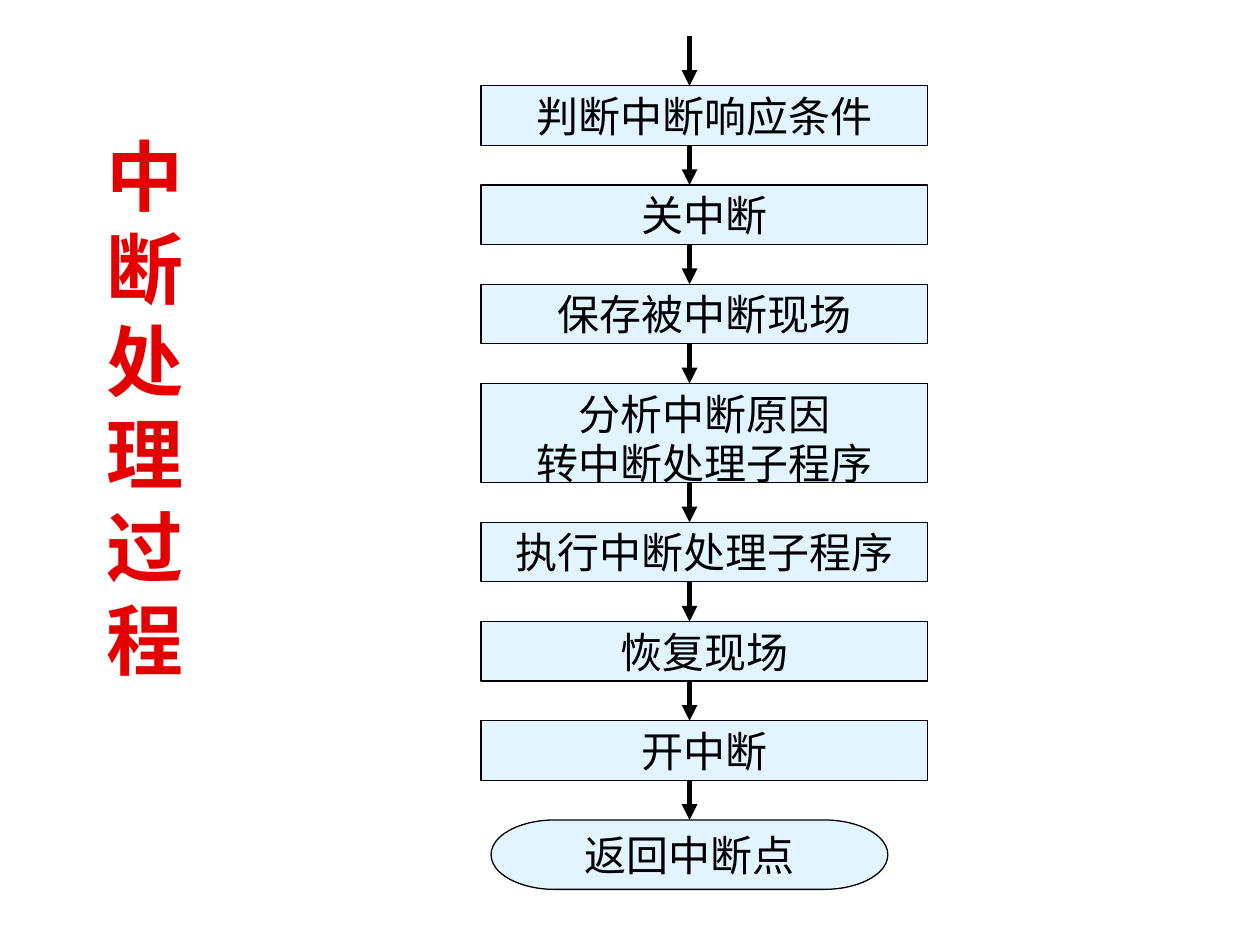
from dataclasses import dataclass

from lxml import etree
from pptx import Presentation
from pptx.dml.color import RGBColor
from pptx.enum.shapes import MSO_CONNECTOR, MSO_SHAPE
from pptx.enum.text import MSO_ANCHOR, MSO_AUTO_SIZE, PP_ALIGN
from pptx.oxml.ns import qn
from pptx.util import Cm, Pt

RECT = MSO_SHAPE.RECTANGLE
TERMINATOR = MSO_SHAPE.FLOWCHART_TERMINATOR
STRAIGHT = MSO_CONNECTOR.STRAIGHT
MIDDLE = MSO_ANCHOR.MIDDLE
LEFT, CENTER = PP_ALIGN.LEFT, PP_ALIGN.CENTER
NO_AUTOFIT = MSO_AUTO_SIZE.NONE


@dataclass(frozen=True)
class Theme:
    white: RGBColor = RGBColor(0xFF, 0xFF, 0xFF)
    black: RGBColor = RGBColor(0, 0, 0)
    red: RGBColor = RGBColor(0xE4, 0, 0)
    pale_blue: RGBColor = RGBColor(0xE1, 0xF4, 0xFF)
    title_font: str = "Arial"
    step_font: str = "Noto Sans CJK SC"
    end_font: str = "Lato"
    asian_font: str = "Noto Sans CJK SC"
    title_size: Pt = Pt(44)
    step_size: Pt = Pt(24)
    title_pitch: Pt = Pt(53)
    step_pitch: Pt = Pt(28)


THEME = Theme()

# Flow chart measures in cm
FIRST_TOP, GAP, ENTRY = 1.73, 0.8, 1.0
ARROW_X = 13.9
STEP_LEFT, STEP_WIDTH = 9.7, 9.0
STEP_HEIGHT, TALL_HEIGHT = 1.2, 2.0
END_LEFT, END_WIDTH, END_HEIGHT = 9.9, 8.0, 1.4

STEPS = [
    "判断中断响应条件",
    "关中断",
    "保存被中断现场",
    "分析中断原因\n转中断处理子程序",
    "执行中断处理子程序",
    "恢复现场",
    "开中断",
]


def style_text(tf, font, size, color, align, bold=False, pitch=None):
    tf.vertical_anchor = MIDDLE
    if pitch:
        # Fixed pitch lifts the glyphs, so the top inset lowers them again
        tf.margin_top = Cm(0.38)
    for p in tf.paragraphs:
        p.alignment = align
        if pitch:
            p.line_spacing = pitch
        p.font.name, p.font.size, p.font.bold = font, size, bold
        p.font.color.rgb = color
        latin = p.font._element.find(qn("a:latin"))
        ea = etree.Element(qn("a:ea"), typeface=THEME.asian_font)
        latin.addnext(ea)


def set_title(slide, text):
    sp = slide.shapes.title
    sp.left, sp.top, sp.width, sp.height = Cm(1.9), Cm(0), Cm(2.8), Cm(16.13)
    sp.fill.solid()
    sp.fill.fore_color.rgb = THEME.white
    tf = sp.text_frame
    tf.text = text
    tf.word_wrap = True  # the narrow box holds one character a line
    tf.auto_size = NO_AUTOFIT
    style_text(tf, THEME.title_font, THEME.title_size, THEME.red, LEFT,
               bold=True, pitch=THEME.title_pitch)


def add_box(slide, kind, left, top, width, height, text, font):
    sp = slide.shapes.add_shape(kind, Cm(left), Cm(top), Cm(width), Cm(height))
    sp.shadow.inherit = False
    sp.fill.solid()
    sp.fill.fore_color.rgb = THEME.pale_blue
    sp.line.color.rgb = THEME.black
    sp.line.width = Pt(0.75)
    tf = sp.text_frame
    tf.text = text
    tf.word_wrap = False
    pitch = THEME.step_pitch if "\n" in text else None
    style_text(tf, font, THEME.step_size, THEME.black, CENTER, pitch=pitch)


def add_arrow(slide, top, bottom):
    line = slide.shapes.add_connector(
        STRAIGHT, Cm(ARROW_X), Cm(top), Cm(ARROW_X), Cm(bottom))
    line.line.color.rgb = THEME.black
    line.line.width = Pt(3)
    etree.SubElement(line.line._get_or_add_ln(), qn("a:tailEnd"), type="triangle")
    etree.SubElement(line._element.spPr, qn("a:effectLst"))


def main():
    prs = Presentation()
    prs.slide_width, prs.slide_height = Cm(25.4), Cm(19.05)
    slide = prs.slides.add_slide(prs.slide_layouts[5])

    set_title(slide, "中断处理过程")

    # Steps from top to bottom, each followed by an arrow
    add_arrow(slide, FIRST_TOP - ENTRY, FIRST_TOP)
    top = FIRST_TOP
    for text in STEPS:
        height = TALL_HEIGHT if "\n" in text else STEP_HEIGHT
        add_box(slide, RECT, STEP_LEFT, top, STEP_WIDTH, height, text,
                THEME.step_font)
        top += height + GAP
        add_arrow(slide, top - GAP, top)

    # End of the flow
    add_box(slide, TERMINATOR, END_LEFT, top, END_WIDTH, END_HEIGHT,
            "返回中断点", THEME.end_font)

    prs.save("out.pptx")


if __name__ == "__main__":
    main()
